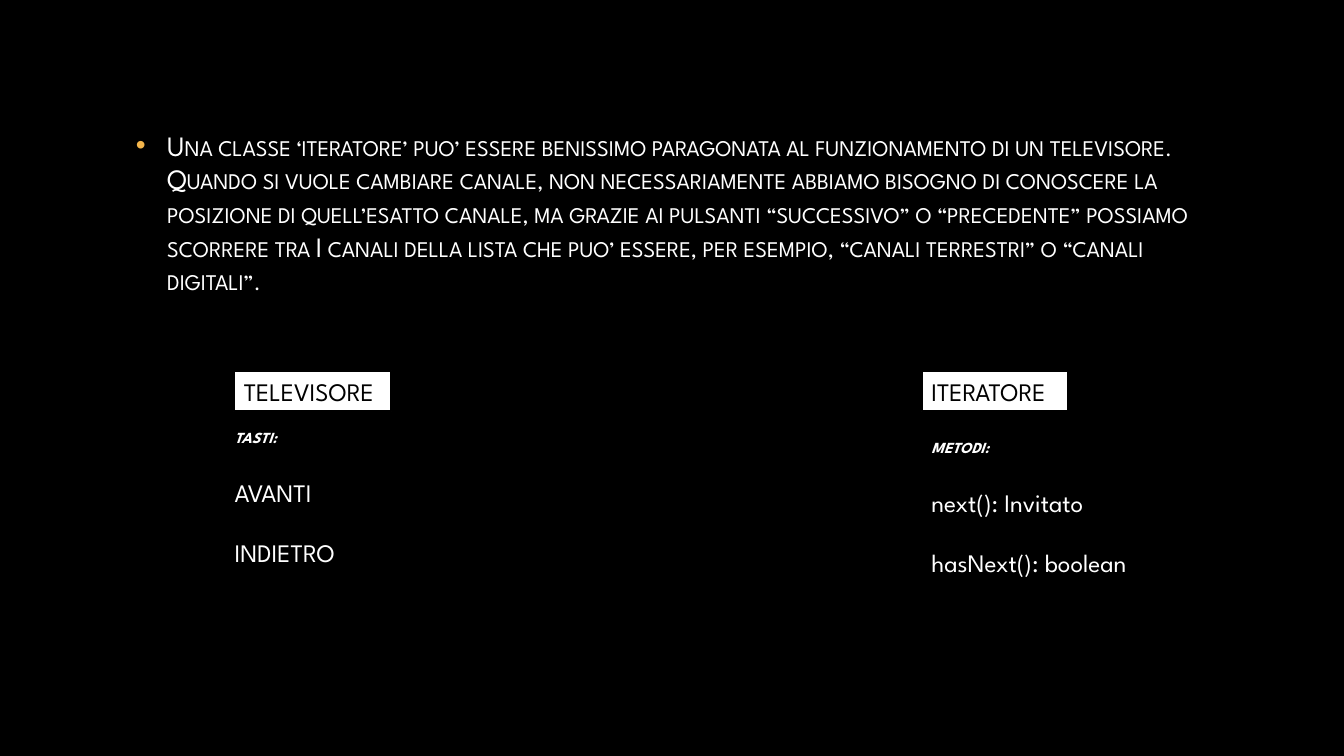
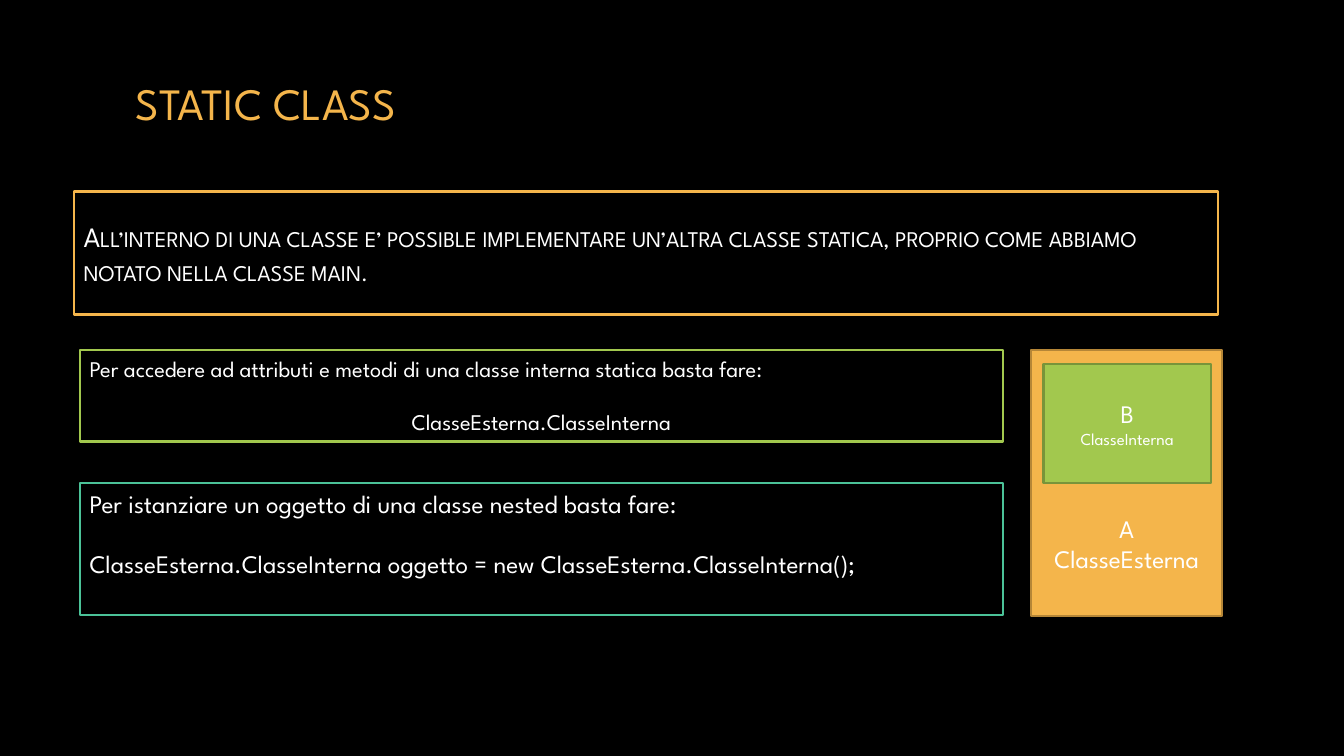
from lxml import etree
from pptx import Presentation
from pptx.dml.color import RGBColor
from pptx.enum.shapes import MSO_SHAPE
from pptx.enum.text import MSO_ANCHOR, PP_ALIGN
from pptx.oxml.ns import qn
from pptx.util import Pt

PX = 9144  # 100 px to the inch
RECT = MSO_SHAPE.RECTANGLE
TOP, MID, LOW = MSO_ANCHOR.TOP, MSO_ANCHOR.MIDDLE, MSO_ANCHOR.BOTTOM
LEFT, CENTER = PP_ALIGN.LEFT, PP_ALIGN.CENTER

BLACK = RGBColor(0x00, 0x00, 0x00)
WHITE = RGBColor(0xFF, 0xFF, 0xFF)
GOLD = RGBColor(0xF4, 0xB5, 0x4B)
BROWN = RGBColor(0xB5, 0x86, 0x37)
LIME = RGBColor(0xA2, 0xC8, 0x4E)
OLIVE = RGBColor(0x78, 0x94, 0x3A)
TEAL = RGBColor(0x4B, 0xC2, 0x98)

FONT = "League Spartan"
TITLE = {"size": Pt(32)}
BODY = {"size": Pt(20)}
TEXT = {"size": Pt(18)}
CODE = {"size": Pt(16)}
SMALL = {"size": Pt(12)}
LABEL = {"size": Pt(11), "bold": True, "italic": True}
GAP = 1.2  # height of one skipped line, in font sizes


def add_box(slide, area, lines, color=WHITE, fill=None, edge=None,
            anchor=TOP, align=LEFT):
    """Add a box of text; each line is (text, font format, paragraph format)."""
    area = [n * PX for n in area]
    if fill is None and edge is None:
        box = slide.shapes.add_textbox(*area)
    else:
        box = slide.shapes.add_shape(RECT, *area)
        box.shadow.inherit = False
        if fill is None:
            box.fill.background()
        else:
            box.fill.solid()
            box.fill.fore_color.rgb = fill
        box.line.color.rgb = edge
        box.line.width = Pt(1.5)
    frame = box.text_frame
    frame.word_wrap = True
    frame.vertical_anchor = anchor
    for i, (text, font, form) in enumerate(lines):
        para = frame.add_paragraph() if i else frame.paragraphs[0]
        for name, value in ({"alignment": align} | form).items():
            setattr(para, name, value)
        run = para.add_run()
        run.text = text
        run.font.color.rgb = color
        for name, value in ({"name": FONT} | font).items():
            setattr(run.font, name, value)
    return box


def add_body(slide, area, text, edge=None):
    """Add a main paragraph in small capitals and return it."""
    form = {"space_before": Pt(4), "space_after": Pt(6)}
    box = add_box(slide, area, [(text, BODY, form)], edge=edge, anchor=MID)
    para = box.text_frame.paragraphs[0]
    para.runs[0]._r.get_or_add_rPr().set("cap", "small")
    return para


deck = Presentation()
deck.slide_width, deck.slide_height = 1333 * PX, 750 * PX
back = deck.slide_master.background.fill
back.solid()
back.fore_color.rgb = BLACK
blank = deck.slide_layouts[6]
skip = {"space_before": Pt(18 * GAP)}

# Television and iterator
slide = deck.slides.add_slide(blank)
para = add_body(slide, (125, 91, 1083, 239), (
    "Una classe ‘iteratore’ puo’ essere benissimo paragonata al funzionamento "
    "di un televisore. Quando si vuole cambiare canale, non necessariamente "
    "abbiamo bisogno di conoscere la posizione di quell’esatto canale, ma "
    "grazie ai pulsanti “successivo” o “precedente” possiamo scorrere tra I "
    "canali della lista che puo’ essere, per esempio, “canali terrestri” o "
    "“canali digitali”."))
props = para._p.get_or_add_pPr()
props.set("marL", str(31 * PX))
props.set("indent", str(-31 * PX))
tint = etree.SubElement(props, qn("a:buClr"))
etree.SubElement(tint, qn("a:srgbClr"), val=str(GOLD))
etree.SubElement(props, qn("a:buFont"), typeface="Arial")
etree.SubElement(props, qn("a:buChar"), char="•")

columns = [
    (232, 156, "TELEVISORE", 223, 420, "TASTI:", ("AVANTI", "INDIETRO")),
    (914, 145, "ITERATORE", 914, 430, "METODI:",
     ("next(): Invitato", "hasNext(): boolean")),
]
for left, width, head, x, y, label, items in columns:
    add_box(slide, (left, 368, width, 40), [(head, TEXT, {})],
            color=BLACK, fill=WHITE, edge=BLACK)
    add_box(slide, (x, y, 277, 151),
            [(label, LABEL, {})] + [(item, TEXT, skip) for item in items])

# Static class
slide = deck.slides.add_slide(blank)
add_box(slide, (125, 67, 1083, 69), [("STATIC CLASS", TITLE, {})],
        color=GOLD, anchor=MID)
add_body(slide, (73, 190, 1135, 122), (
    "All’interno di una classe e’ possible implementare un’altra classe "
    "statica, proprio come abbiamo notato nella classe main."), edge=GOLD)
add_box(slide, (79, 347, 916, 91), [
    ("Per accedere ad attributi e metodi di una classe interna statica "
     "basta fare:", CODE, {}),
    ("ClasseEsterna.ClasseInterna", CODE,
     {"alignment": CENTER, "space_before": Pt(16 * GAP)}),
], edge=LIME)
add_box(slide, (79, 479, 916, 131), [
    ("Per istanziare un oggetto di una classe nested basta fare:", TEXT, {}),
    ("ClasseEsterna.ClasseInterna oggetto = new "
     "ClasseEsterna.ClasseInterna();", TEXT, skip),
], edge=TEAL)
outer = add_box(slide, (1023, 347, 189, 264),
                [("A", TEXT, {}), ("ClasseEsterna", TEXT, {})],
                fill=GOLD, edge=BROWN, anchor=LOW, align=CENTER)
outer.text_frame.margin_bottom = 42 * PX
add_box(slide, (1035, 361, 166, 118),
        [("B", TEXT, {}), ("ClasseInterna", SMALL, {})],
        fill=LIME, edge=OLIVE, anchor=MID, align=CENTER)

deck.save("out.pptx")
